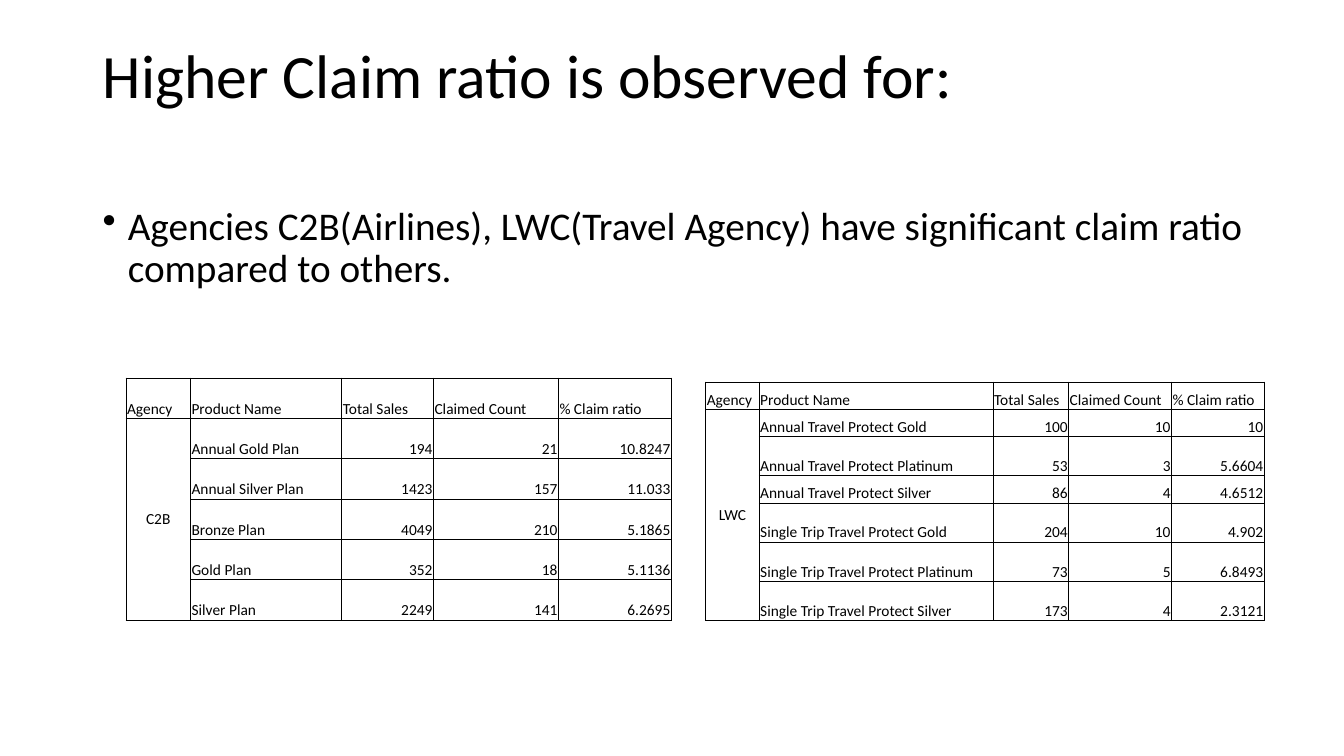
"""Build the slide on agencies with a high claim ratio."""
from dataclasses import dataclass

from lxml import etree
from pptx import Presentation
from pptx import util as u
from pptx.dml import color
from pptx.enum import text
from pptx.oxml import ns


@dataclass(frozen=True)
class Theme:
    font: str = "Calibri"
    ink: str = "000000"
    title: int = 44
    body: int = 28
    cell: int = 11
    rule: float = 0.5


class Deck:
    def __init__(self, slide, theme):
        self.slide = slide
        self.theme = theme

    def label(self, para, words, size, align=text.PP_ALIGN.LEFT):
        para.alignment = align
        run = para.add_run()
        run.text = words
        run.font.name = self.theme.font
        run.font.size = u.Pt(size)
        run.font.color.rgb = color.RGBColor.from_string(self.theme.ink)

    def frame(self, shape, box):
        shape.left, shape.top, shape.width, shape.height = map(u.Inches, box)
        frame = shape.text_frame
        frame.word_wrap = True
        frame.auto_size = text.MSO_AUTO_SIZE.NONE
        frame.vertical_anchor = text.MSO_ANCHOR.TOP
        para = frame.paragraphs[0]
        para.line_spacing = 0.9
        return para

    def title(self, words, box):
        self.label(self.frame(self.slide.shapes.title, box), words, self.theme.title)

    def bullet(self, words, box):
        shape = self.slide.shapes.add_textbox(*map(u.Inches, box))
        para = self.frame(shape, box)
        para.space_before = u.Pt(10)
        props = para._p.get_or_add_pPr()
        props.set("marL", str(u.Inches(0.25)))
        props.set("indent", str(u.Inches(-0.25)))
        etree.SubElement(props, ns.qn("a:buChar"), char="•")
        self.label(para, words, self.theme.body)

    def border(self, cell):
        props = cell._tc.get_or_add_tcPr()
        for side in "LRTB":
            line = etree.SubElement(props, ns.qn(f"a:ln{side}"), w=str(u.Pt(self.theme.rule)))
            fill = etree.SubElement(line, ns.qn("a:solidFill"))
            etree.SubElement(fill, ns.qn("a:srgbClr"), val=self.theme.ink)
        cell.fill.background()

    def entry(self, cell, words, align, anchor=text.MSO_ANCHOR.BOTTOM):
        cell.vertical_anchor = anchor
        self.label(cell.text_frame.paragraphs[0], words, self.theme.cell, align)

    def table(self, spot, cols, rows, head, agency, plans):
        size = sum(cols), sum(rows)
        table = self.slide.shapes.add_table(
            len(rows), len(cols), *map(u.Inches, (*spot, *size))).table
        table.first_row = table.horz_banding = False
        for col, width in zip(table.columns, cols):
            col.width = u.Inches(width)
        for row, height in zip(table.rows, rows):
            row.height = u.Inches(height)
        for cell in table.iter_cells():
            cell.margin_left = cell.margin_right = cell.margin_top = u.Inches(0.01)
            cell.margin_bottom = 0
            self.border(cell)
        left, right = text.PP_ALIGN.LEFT, text.PP_ALIGN.RIGHT
        for c, words in enumerate(head):
            self.entry(table.cell(0, c), words, left)
        for r, plan in enumerate(plans, 1):
            for c, words in enumerate(plan, 1):
                self.entry(table.cell(r, c), words, left if c == 1 else right)
        first = table.cell(1, 0)
        first.merge(table.cell(len(plans), 0))
        self.entry(first, agency, text.PP_ALIGN.CENTER, text.MSO_ANCHOR.MIDDLE)


HEAD = ("Agency", "Product Name", "Total Sales", "Claimed Count", "% Claim ratio")
AIR = (
    ("Annual Gold Plan", "194", "21", "10.8247"),
    ("Annual Silver Plan", "1423", "157", "11.033"),
    ("Bronze Plan", "4049", "210", "5.1865"),
    ("Gold Plan", "352", "18", "5.1136"),
    ("Silver Plan", "2249", "141", "6.2695"),
)
TRIP = (
    ("Annual Travel Protect Gold", "100", "10", "10"),
    ("Annual Travel Protect Platinum", "53", "3", "5.6604"),
    ("Annual Travel Protect Silver", "86", "4", "4.6512"),
    ("Single Trip Travel Protect Gold", "204", "10", "4.902"),
    ("Single Trip Travel Protect Platinum", "73", "5", "6.8493"),
    ("Single Trip Travel Protect Silver", "173", "4", "2.3121"),
)

show = Presentation()
show.slide_width, show.slide_height = u.Inches(13.33), u.Inches(7.5)
deck = Deck(show.slides.add_slide(show.slide_layouts[5]), Theme())
deck.title("Higher Claim ratio is observed for:", (0.92, 0.4, 11.5, 1.45))
deck.bullet("Agencies C2B(Airlines), LWC(Travel Agency) have significant "
            "claim ratio compared to others.", (0.92, 2, 11.5, 4.76))
deck.table((1.25, 3.75), (0.64, 1.5, 0.91, 1.24, 1.12), [0.4] * 6, HEAD, "C2B", AIR)
deck.table((7, 3.79), (0.53, 2.32, 0.75, 1.02, 0.92),
           (0.27, 0.27, 0.39, 0.27, 0.39, 0.39, 0.39), HEAD, "LWC", TRIP)
show.save("out.pptx")
